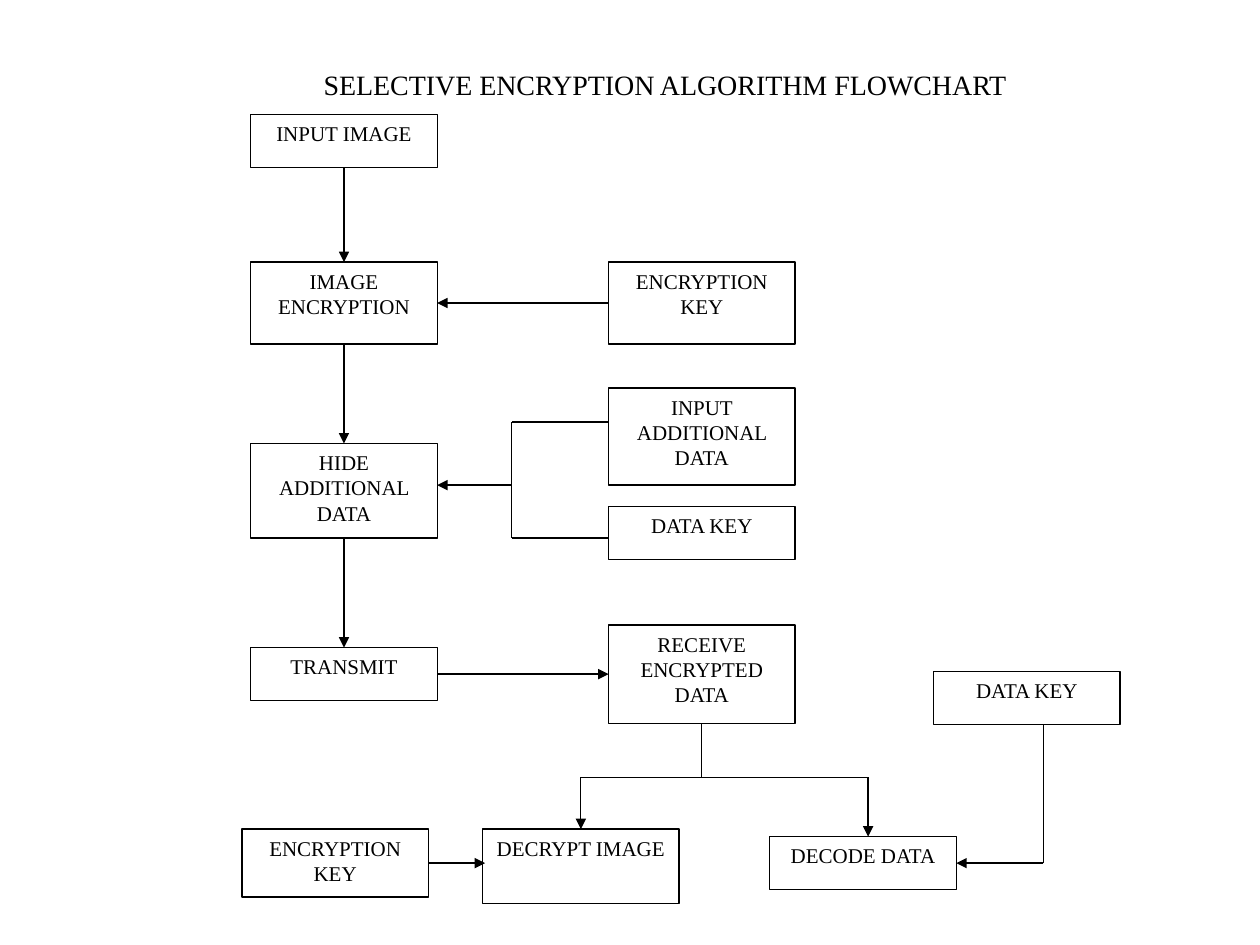
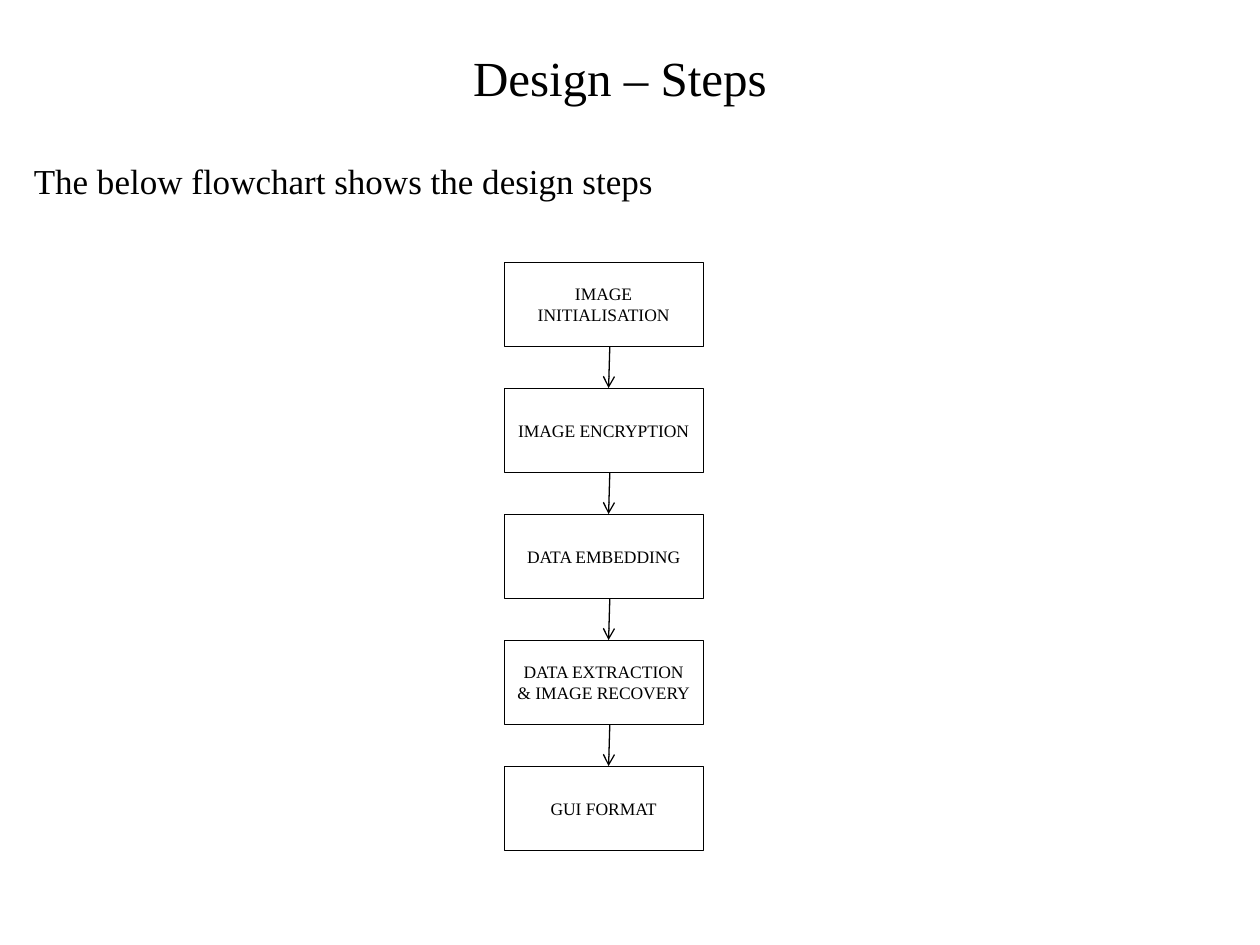
from dataclasses import dataclass
from typing import NamedTuple

from lxml.etree import SubElement
from pptx import Presentation
from pptx.dml.color import RGBColor
from pptx.enum.shapes import MSO_CONNECTOR, MSO_SHAPE
from pptx.enum.text import MSO_ANCHOR, PP_ALIGN
from pptx.oxml.ns import qn
from pptx.util import Inches, Pt

FONT = "Times New Roman"
BLACK = "000000"
WHITE = "FFFFFF"
TOP, LEFT, BOTTOM, RIGHT = range(4)
BOX_W = 1.48
KEY_X, MAIN_X = 4.83, 1.99


@dataclass
class Box:
    text: str
    x: float
    y: float
    h: float = 0.42
    w: float = BOX_W


class Point(NamedTuple):
    x: float
    y: float


class Side(NamedTuple):
    box: str
    side: int


class Link(NamedTuple):
    start: Point | Side
    end: Point | Side
    head: str = "triangle"


FLOW_BOXES = {
    "input": Box("INPUT IMAGE", MAIN_X, 0.91),
    "encrypt": Box("IMAGE ENCRYPTION", MAIN_X, 2.08, 0.65),
    "encrypt_key": Box("ENCRYPTION KEY", KEY_X, 2.08, 0.65),
    "transmit": Box("TRANSMIT", MAIN_X, 5.14),
    "decode_key": Box("DATA KEY", 7.41, 5.33),
    "hide": Box("HIDE ADDITIONAL DATA", MAIN_X, 3.52, 0.75),
    "additional": Box("INPUT ADDITIONAL DATA", KEY_X, 3.08, 0.77),
    "receive": Box("RECEIVE ENCRYPTED DATA", KEY_X, 4.96, 0.78),
    "decrypt": Box("DECRYPT IMAGE", 3.83, 6.58, 0.59, 1.56),
    "decrypt_key": Box("ENCRYPTION KEY", 1.92, 6.58, 0.54),
    "decode": Box("DECODE DATA", 6.11, 6.64),
    "hide_key": Box("DATA KEY", KEY_X, 4.02),
}

FLOW_LINKS = [
    Link(Side("input", BOTTOM), Side("encrypt", TOP)),
    Link(Side("encrypt", BOTTOM), Side("hide", TOP)),
    Link(Side("hide", BOTTOM), Side("transmit", TOP)),
    Link(Side("encrypt_key", LEFT), Side("encrypt", RIGHT)),
    Link(Side("transmit", RIGHT), Side("receive", LEFT)),
    Link(Side("decrypt_key", RIGHT), Point(3.85, 6.85)),
    Link(Point(KEY_X, 3.35), Point(4.06, 3.35), ""),
    Link(Point(4.06, 3.35), Point(4.06, 4.27), ""),
    Link(Point(KEY_X, 4.27), Point(4.06, 4.27), ""),
    Link(Point(4.06, 3.85), Point(3.47, 3.85)),
    Link(Side("receive", BOTTOM), Point(5.57, 6.17), ""),
    Link(Point(4.61, 6.17), Point(6.89, 6.17), ""),
    Link(Point(4.61, 6.17), Side("decrypt", TOP)),
    Link(Point(6.89, 6.17), Point(6.89, 6.64)),
    Link(Point(8.28, 5.75), Point(8.28, 6.85), ""),
    Link(Point(8.28, 6.85), Side("decode", RIGHT)),
]

STEPS = [
    "IMAGE INITIALISATION",
    "IMAGE ENCRYPTION",
    "DATA EMBEDDING",
    "DATA EXTRACTION & IMAGE RECOVERY",
    "GUI FORMAT",
]
STEP_Y, STEP_PITCH, STEP_H = 2.08, 1.0, 0.67


def color(value: str) -> RGBColor:
    return RGBColor.from_string(value)


def write(tf, text: str, *, size: float, align=PP_ALIGN.LEFT,
          anchor=MSO_ANCHOR.TOP, after: float = 0, spacing: float = 1.0) -> None:
    tf.word_wrap = True
    tf.vertical_anchor = anchor
    p = tf.paragraphs[0]
    p.alignment = align
    p.space_after = Pt(after)
    p.line_spacing = spacing
    r = p.add_run()
    r.text = text
    r.font.name = FONT
    r.font.size = Pt(size)
    r.font.color.rgb = color(BLACK)


def add_text(s, text: str, x: float, y: float, w: float, h: float, **fmt) -> None:
    tb = s.shapes.add_textbox(Inches(x), Inches(y), Inches(w), Inches(h))
    write(tb.text_frame, text, **fmt)


def add_box(s, box: Box, *, fill: str = "", line: float = 0.75, **fmt):
    sp = s.shapes.add_shape(MSO_SHAPE.RECTANGLE, Inches(box.x), Inches(box.y),
                            Inches(box.w), Inches(box.h))
    sp.shadow.inherit = False
    if fill:
        sp.fill.solid()
        sp.fill.fore_color.rgb = color(fill)
    else:
        sp.fill.background()
    sp.line.color.rgb = color(BLACK)
    sp.line.width = Pt(line)
    write(sp.text_frame, box.text, align=PP_ALIGN.CENTER, **fmt)
    return sp


def add_link(s, link: Link, shapes: dict) -> None:
    cn = s.shapes.add_connector(MSO_CONNECTOR.STRAIGHT, 0, 0, 0, 0)
    if isinstance(link.start, Side):
        cn.begin_connect(shapes[link.start.box], link.start.side)
    else:
        cn.begin_x, cn.begin_y = map(Inches, link.start)
    if isinstance(link.end, Side):
        cn.end_connect(shapes[link.end.box], link.end.side)
    else:
        cn.end_x, cn.end_y = map(Inches, link.end)
    cn.line.color.rgb = color(BLACK)
    cn.line.width = Pt(0.75)
    if link.head:
        SubElement(cn.line._get_or_add_ln(), qn("a:tailEnd"), type=link.head)
    SubElement(cn._element.spPr, qn("a:effectLst"))


def build_algorithm(s) -> None:
    shapes = {name: add_box(s, box, fill=WHITE, size=12, after=10)
              for name, box in FLOW_BOXES.items()}
    for link in FLOW_LINKS:
        add_link(s, link, shapes)
    add_text(s, "SELECTIVE ENCRYPTION ALGORITHM FLOWCHART", 2.47, 0.22, 6, 0.64,
             size=16, spacing=2.0)


def build_steps(s) -> None:
    add_text(s, "Design – Steps", 0.17, 0.33, 9.5, 0.55, size=28,
             align=PP_ALIGN.CENTER)
    add_text(s, "The below flowchart shows the design steps", 0.17, 1.22, 9.5, 0.44,
             size=20)
    for i, text in enumerate(STEPS):
        y = STEP_Y + i * STEP_PITCH
        add_box(s, Box(text, 4, y, STEP_H, 1.58), line=0.5, size=10,
                anchor=MSO_ANCHOR.MIDDLE)
        if i:
            start = Point(4.84, y - STEP_PITCH + STEP_H)
            add_link(s, Link(start, Point(4.83, y), "arrow"), {})


def main() -> None:
    prs = Presentation()
    prs.slide_width, prs.slide_height = Inches(10), Inches(7.5)
    for build in (build_algorithm, build_steps):
        build(prs.slides.add_slide(prs.slide_layouts[6]))
    prs.save("out.pptx")


if __name__ == "__main__":
    main()
